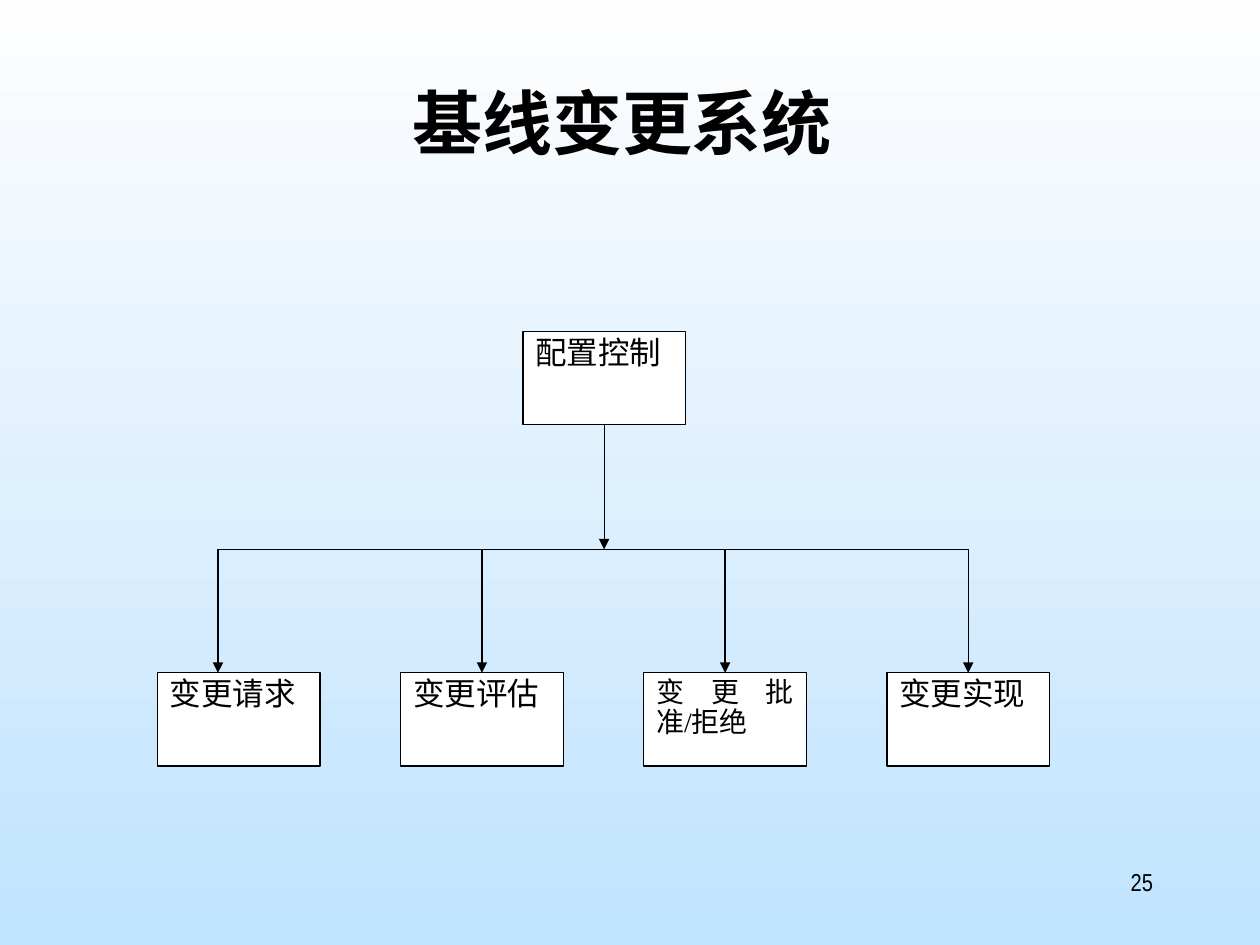
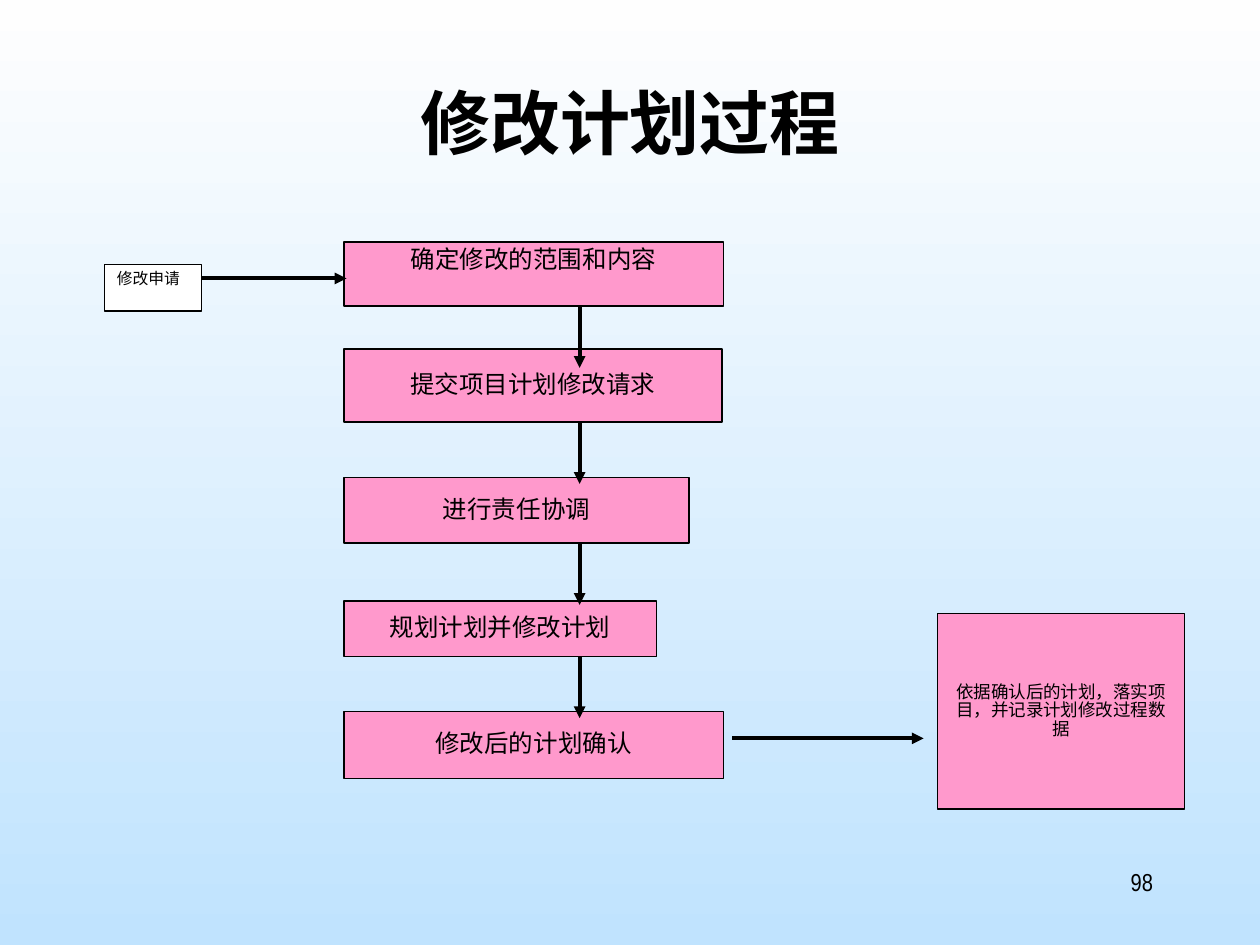
from dataclasses import dataclass

from lxml.etree import SubElement
from pptx import Presentation
from pptx.dml.color import RGBColor
from pptx.enum.shapes import MSO_CONNECTOR as Line, MSO_SHAPE as Shape
from pptx.enum.text import MSO_ANCHOR as Anchor, PP_ALIGN as Align
from pptx.oxml.ns import qn
from pptx.util import Inches, Pt

BLACK = RGBColor(0x00, 0x00, 0x00)
WHITE = RGBColor(0xFF, 0xFF, 0xFF)
PINK = RGBColor(0xFF, 0x99, 0xCC)
SKY_TOP = RGBColor(0xFE, 0xFE, 0xFE)
SKY_BOTTOM = RGBColor(0xC0, 0xE3, 0xFE)

CHINESE_FONT = "Noto Sans CJK SC"
BODY_FONT = "Times New Roman"
NUMBER_FONT = "Arial Narrow"

THIN, THICK = 0.75, 2.25
CHINESE_SPACING = 0.88


@dataclass(frozen=True)
class Box:
    """A bordered rectangle; lengths are in inches, the text size in points."""
    text: str
    left: float
    top: float
    width: float
    height: float
    size: float = 14
    fill: RGBColor = PINK
    align: Align = Align.CENTER
    anchor: Anchor = Anchor.MIDDLE
    bottom_inset: float = 0.05

    @property
    def bottom(self) -> float:
        return self.top + self.height

    @property
    def center(self) -> float:
        return self.left + self.width / 2


def plain_box(text: str, left: float, top: float, width: float = 1.29,
              height: float = 0.74, size: float = 18) -> Box:
    return Box(text, left, top, width, height, size, WHITE, Align.JUSTIFY, Anchor.TOP)


def write_text(shape, text: str, size: float, font: str, align: Align,
               bold: bool = False, spacing: float = CHINESE_SPACING) -> None:
    frame = shape.text_frame
    frame.word_wrap = True
    para = frame.paragraphs[0]
    para.text = text
    para.alignment = align
    para.line_spacing = spacing
    for target in (para, para.runs[0]):
        target.font.size = Pt(size)
        target.font.name = font
        target.font.bold = bold
        target.font.color.rgb = BLACK
    # East Asian glyphs take their typeface from a separate element.
    properties = para.runs[0].font._element
    SubElement(properties, qn("a:ea")).set("typeface", CHINESE_FONT)


def add_label(slide, text: str, left: float, top: float, width: float, height: float,
              size: float, font: str, align: Align, **style) -> None:
    label = slide.shapes.add_textbox(Inches(left), Inches(top), Inches(width), Inches(height))
    write_text(label, text, size, font, align, **style)


def add_page(deck, title: str, number: int):
    slide = deck.slides.add_slide(deck.slide_layouts[6])
    add_label(slide, title, 0.75, 0.67, 8.5, 1.25, 40, CHINESE_FONT, Align.CENTER, bold=True)
    add_label(slide, str(number), 7.17, 6.83, 2.08, 0.5, 14, NUMBER_FONT, Align.RIGHT, spacing=1.0)
    return slide


def add_box(slide, box: Box):
    shape = slide.shapes.add_shape(Shape.RECTANGLE, Inches(box.left), Inches(box.top),
                                   Inches(box.width), Inches(box.height))
    shape.shadow.inherit = False
    shape.fill.solid()
    shape.fill.fore_color.rgb = box.fill
    shape.line.color.rgb = BLACK
    shape.line.width = Pt(THIN)
    frame = shape.text_frame
    frame.vertical_anchor = box.anchor
    frame.margin_bottom = Inches(box.bottom_inset)
    write_text(shape, box.text, box.size, BODY_FONT, box.align)
    return shape


def add_line(slide, start: tuple[float, float], end: tuple[float, float],
             width: float = THIN, arrow: bool = True):
    line = slide.shapes.add_connector(Line.STRAIGHT, *map(Inches, start + end))
    line.line.color.rgb = BLACK
    line.line.width = Pt(width)
    if arrow:
        SubElement(line.line._get_or_add_ln(), qn("a:tailEnd")).set("type", "triangle")
    SubElement(line._element.spPr, qn("a:effectLst"))
    return line


def set_background(deck) -> None:
    fill = deck.slide_master.background.fill
    fill.gradient()
    fill.gradient_angle = 270
    for stop, position, color in zip(fill.gradient_stops, (0, 1), (SKY_TOP, SKY_BOTTOM)):
        stop.position = position
        stop.color.rgb = color


def build_baseline_page(deck) -> None:
    slide = add_page(deck, "基线变更系统 ", 25)
    bus_y, row_top, bus_left = 4.36, 5.34, 1.73
    control = plain_box("配置控制", 4.15, 2.63)
    control_shape = add_box(slide, control)

    names = ("变更请求", "变更评估", "变更批准/拒绝", "变更实现")
    activities = [plain_box(name, 1.25 + 1.93 * column, row_top, size=16 if "/" in name else 18)
                  for column, name in enumerate(names)]
    shapes = [add_box(slide, activity) for activity in activities]

    add_line(slide, (bus_left, bus_y), (activities[-1].center, bus_y), arrow=False)
    trunk = add_line(slide, (control.center, control.bottom), (control.center, bus_y))
    trunk.begin_connect(control_shape, 2)
    # The first branch drops from the end of the bus, left of its box's middle.
    add_line(slide, (bus_left, bus_y), (bus_left, row_top))
    for activity, shape in zip(activities[1:], shapes[1:]):
        branch = add_line(slide, (activity.center, bus_y), (activity.center, row_top))
        branch.end_connect(shape, 0)


def build_plan_page(deck) -> None:
    slide = add_page(deck, "修改计划过程", 98)
    step_left, arrow_x, arrow_length = 2.73, 4.6, 0.49
    steps = [
        Box("确定修改的范围和内容", step_left, 1.92, 3.01, 0.51, bottom_inset=0.26),
        Box("提交项目计划修改请求", step_left, 2.77, 3.0, 0.58),
        Box("进行责任协调", step_left, 3.79, 2.74, 0.52),
        Box("规划计划并修改计划", step_left, 4.77, 2.48, 0.44),
        Box("修改后的计划确认", step_left, 5.65, 3.01, 0.53),
    ]
    outcome = Box("依据确认后的计划，落实项目，并记录计划修改过程数据",
                  7.44, 4.87, 1.96, 1.55, size=10)
    for box in (*steps, outcome):
        add_box(slide, box)
    for step in steps[:-1]:
        add_line(slide, (arrow_x, step.bottom), (arrow_x, step.bottom + arrow_length), THICK)
    add_line(slide, (1.52, 2.21), (2.75, 2.21), THICK)
    add_line(slide, (5.81, 5.86), (7.33, 5.86), THICK)
    add_box(slide, plain_box("修改申请", 0.83, 2.1, 0.77, 0.37, size=9))


def main() -> None:
    deck = Presentation()
    deck.slide_width, deck.slide_height = Inches(10), Inches(7.5)
    set_background(deck)
    build_baseline_page(deck)
    build_plan_page(deck)
    deck.save("out.pptx")


if __name__ == "__main__":
    main()
